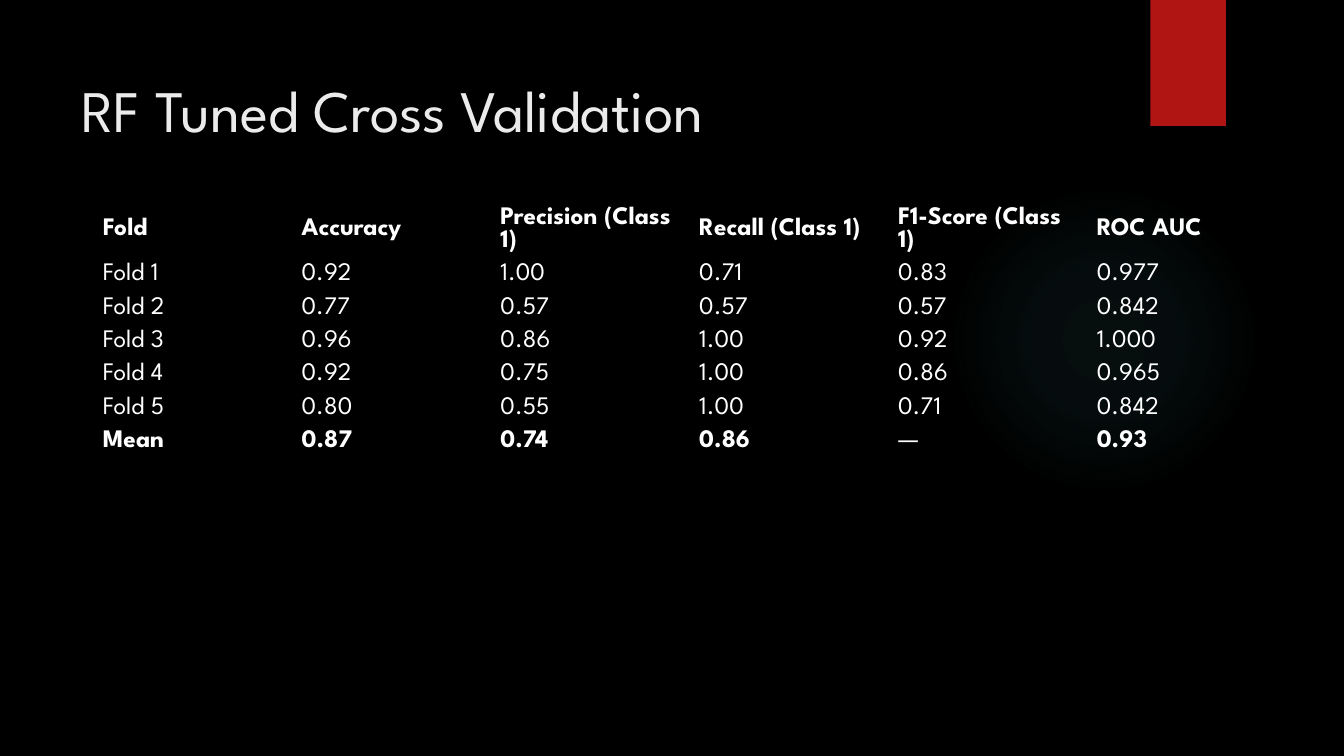
from lxml import etree
from pptx import Presentation
from pptx.dml.color import RGBColor
from pptx.enum.shapes import MSO_SHAPE
from pptx.enum.text import MSO_ANCHOR, PP_ALIGN
from pptx.oxml import parse_xml
from pptx.util import Inches, Pt

OVAL, RECT = MSO_SHAPE.OVAL, MSO_SHAPE.RECTANGLE
TOP, MIDDLE = MSO_ANCHOR.TOP, MSO_ANCHOR.MIDDLE
LEFT = PP_ALIGN.LEFT

FONT = "League Spartan"
COLORS = {"back": "000000", "glow": "50B9C1", "tab": "B01513",
          "title": "EBEBEB", "text": "FFFFFF", "shade": "000000"}
NS = "http://schemas.openxmlformats.org/drawingml/2006/main"
NO_STYLE = "{2D5ABB26-0587-4C30-8999-92F81FD0307C}"
DASH = "—"

ROWS = [
    ["Fold", "Accuracy", "Precision (Class 1)", "Recall (Class 1)",
     "F1-Score (Class 1)", "ROC AUC"],
    ["Fold 1", "0.92", "1.00", "0.71", "0.83", "0.977"],
    ["Fold 2", "0.77", "0.57", "0.57", "0.57", "0.842"],
    ["Fold 3", "0.96", "0.86", "1.00", "0.92", "1.000"],
    ["Fold 4", "0.92", "0.75", "1.00", "0.86", "0.965"],
    ["Fold 5", "0.80", "0.55", "1.00", "0.71", "0.842"],
    ["Mean", "0.87", "0.74", "0.86", DASH, "0.93"],
]


def color(name):
    return RGBColor.from_string(COLORS[name])


def add_run(para, text, size, name, bold=False):
    run = para.add_run()
    run.text = text
    font = run.font
    font.name, font.size, font.bold = FONT, Pt(size), bold
    font.color.rgb = color(name)


def add_block(slide, kind, box, name):
    shape = slide.shapes.add_shape(kind, *map(Inches, box))
    shape.shadow.inherit = False
    shape.fill.solid()
    shape.fill.fore_color.rgb = color(name)
    shape.line.fill.background()
    return shape


def add_glow(slide, box):
    shape = add_block(slide, OVAL, box, "glow")
    # Radial fade from the centre
    stops = "".join(
        f'<a:gs pos="{pos * 1000}"><a:srgbClr val="{COLORS["glow"]}">'
        f'<a:alpha val="{alpha * 1000}"/></a:srgbClr></a:gs>'
        for pos, alpha in [(0, 7), (36, 6), (69, 0)])
    grad = parse_xml(
        f'<a:gradFill xmlns:a="{NS}" rotWithShape="1"><a:gsLst>{stops}</a:gsLst>'
        '<a:path path="circle"><a:fillToRect l="50000" t="50000" r="50000" '
        'b="50000"/></a:path></a:gradFill>')
    props = shape.element.spPr
    props.replace(props.find(f"{{{NS}}}solidFill"), grad)


def add_tab(slide, box):
    shape = add_block(slide, RECT, box, "tab")
    # Soft shadow below
    effects = shape.element.spPr.find(f"{{{NS}}}effectLst")
    shade = etree.SubElement(effects, f"{{{NS}}}outerShdw", blurRad=str(Pt(3)),
                             dist=str(Pt(2)), dir="5400000", rotWithShape="0")
    tint = etree.SubElement(shade, f"{{{NS}}}srgbClr", val=COLORS["shade"])
    etree.SubElement(tint, f"{{{NS}}}alpha", val="45000")


def add_title(slide, box, text):
    title = slide.shapes.title
    title.left, title.top, title.width, title.height = map(Inches, box)
    frame = title.text_frame
    frame.word_wrap = True
    frame.vertical_anchor = TOP
    frame.margin_top = Inches(0.23)
    para = frame.paragraphs[0]
    para.alignment = LEFT
    add_run(para, text, 42, "title")


def add_scores(slide, box, rows):
    frame = slide.shapes.add_table(len(rows), len(rows[0]), *map(Inches, box))
    table = frame.table
    table.first_row = table.horz_banding = False
    table._tbl.tblPr.find(f"{{{NS}}}tableStyleId").text = NO_STYLE
    for col in table.columns:
        col.width = Inches(box[2] / len(rows[0]))
    for i, row in enumerate(rows):
        table.rows[i].height = Inches(0.33 if i else 0.56)
        for j, text in enumerate(row):
            cell = table.cell(i, j)
            cell.fill.background()
            cell.vertical_anchor = MIDDLE
            # Header and mean rows are bold, except the dash
            bold = i in (0, len(rows) - 1) and text != DASH
            add_run(cell.text_frame.paragraphs[0], text, 18, "text", bold)


def main():
    deck = Presentation()
    deck.slide_width, deck.slide_height = Inches(13.33), Inches(7.5)
    slide = deck.slides.add_slide(deck.slide_layouts[5])
    fill = slide.background.fill
    fill.solid()
    fill.fore_color.rgb = color("back")
    add_glow(slide, (9.41, 1.83, 3.08, 3.08))
    add_tab(slide, (11.41, 0, 0.75, 1.25))
    add_title(slide, (0.71, 0.5, 10.29, 1.53), "RF Tuned Cross Validation")
    add_scores(slide, (0.92, 2, 11.83, 2.54), ROWS)
    deck.save("out.pptx")


if __name__ == "__main__":
    main()
